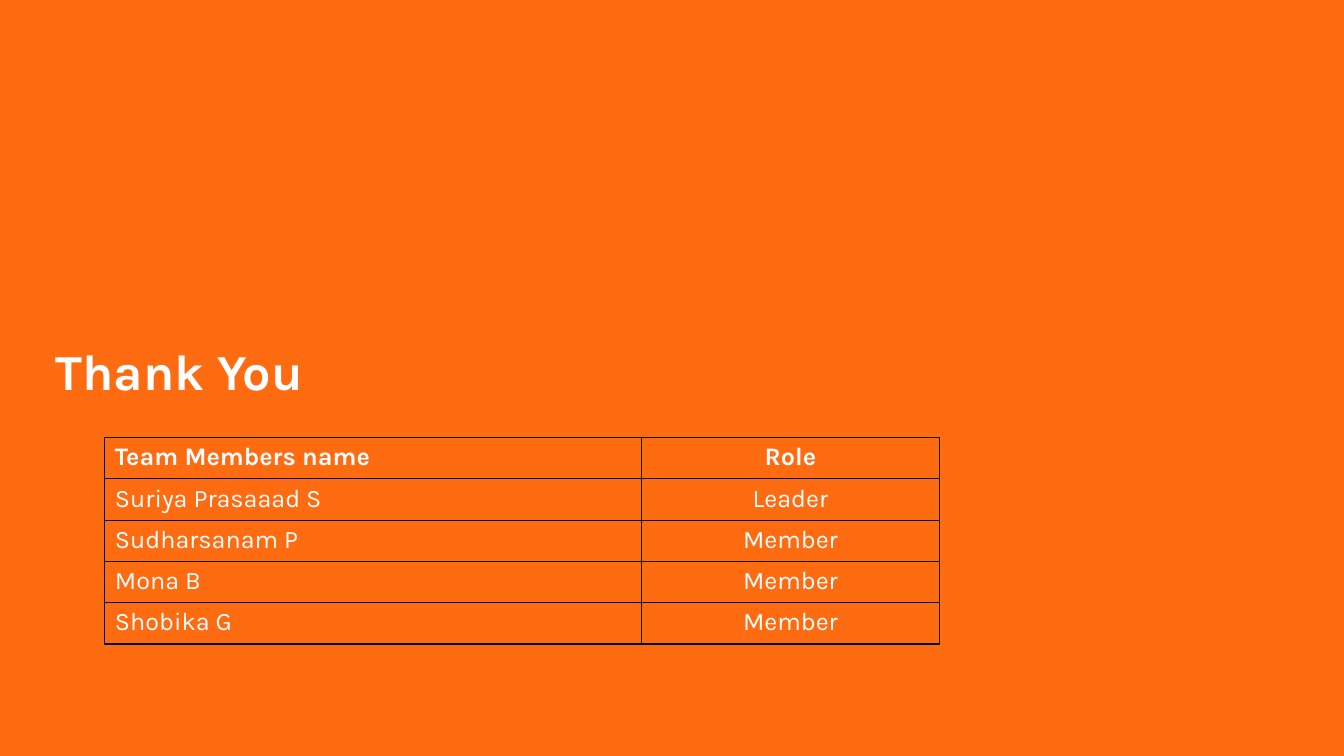
from dataclasses import dataclass

from lxml import etree
from pptx import Presentation
from pptx import util as u
from pptx.dml import color
from pptx.enum import text
from pptx.oxml import ns


@dataclass(frozen=True)
class Theme:
    font: str = "Karla"
    background: str = "FF6B11"
    ink: str = "FFFFFF"
    border: str = "000000"
    border_width: float = 1
    title_size: float = 36
    table_size: float = 18


@dataclass(frozen=True)
class Member:
    name: str
    role: str


@dataclass(frozen=True)
class Column:
    width: float
    alignment: text.PP_ALIGN


THEME = Theme()
HEADER = Member("Team Members name", "Role")
MEMBERS = [
    Member("Suriya Prasaaad S", "Leader"),
    Member("Sudharsanam P", "Member"),
    Member("Mona B", "Member"),
    Member("Shobika G", "Member"),
]
COLUMNS = [Column(5.32, text.PP_ALIGN.LEFT), Column(2.96, text.PP_ALIGN.CENTER)]
ROW_HEIGHT = 0.41


def add_run(paragraph, content: str, size: float, bold: bool) -> None:
    run = paragraph.add_run()
    run.text = content
    run.font.name = THEME.font
    run.font.size = u.Pt(size)
    run.font.bold = bold
    run.font.color.rgb = color.RGBColor.from_string(THEME.ink)


def add_borders(cell) -> None:
    properties = cell._tc.get_or_add_tcPr()
    for side in ("lnL", "lnR", "lnT", "lnB"):
        line = etree.SubElement(
            properties, ns.qn(f"a:{side}"), w=str(u.Pt(THEME.border_width))
        )
        fill = etree.SubElement(line, ns.qn("a:solidFill"))
        etree.SubElement(fill, ns.qn("a:srgbClr"), val=THEME.border)


def add_title(slide) -> None:
    title = slide.shapes.title
    title.left, title.top = u.Inches(0.45), u.Inches(3.22)
    title.width, title.height = u.Inches(9.46), u.Inches(0.9)
    frame = title.text_frame
    frame.word_wrap = True
    frame.auto_size = text.MSO_AUTO_SIZE.NONE
    frame.vertical_anchor = text.MSO_ANCHOR.MIDDLE
    frame.margin_left = frame.margin_right = u.Inches(0.1)
    frame.margin_top = frame.margin_bottom = u.Inches(0.1)
    paragraph = frame.paragraphs[0]
    paragraph.alignment = text.PP_ALIGN.LEFT
    add_run(paragraph, "Thank You", THEME.title_size, True)


def add_team_table(slide) -> None:
    rows = [HEADER, *MEMBERS]
    table = slide.shapes.add_table(
        len(rows),
        len(COLUMNS),
        u.Inches(1.04),
        u.Inches(4.34),
        u.Inches(sum(column.width for column in COLUMNS)),
        u.Inches(ROW_HEIGHT * len(rows)),
    ).table
    table.horz_banding = False
    for index, column in enumerate(COLUMNS):
        table.columns[index].width = u.Inches(column.width)
    for row_index, member in enumerate(rows):
        table.rows[row_index].height = u.Inches(ROW_HEIGHT)
        for column_index, content in enumerate((member.name, member.role)):
            cell = table.cell(row_index, column_index)
            add_borders(cell)
            cell.fill.background()
            paragraph = cell.text_frame.paragraphs[0]
            paragraph.alignment = COLUMNS[column_index].alignment
            add_run(paragraph, content, THEME.table_size, member is HEADER)


def main() -> None:
    presentation = Presentation()
    presentation.slide_width = u.Inches(13.33)
    presentation.slide_height = u.Inches(7.5)
    slide = presentation.slides.add_slide(presentation.slide_layouts[5])
    slide.background.fill.solid()
    slide.background.fill.fore_color.rgb = color.RGBColor.from_string(THEME.background)
    add_title(slide)
    add_team_table(slide)
    presentation.save("out.pptx")


if __name__ == "__main__":
    main()
